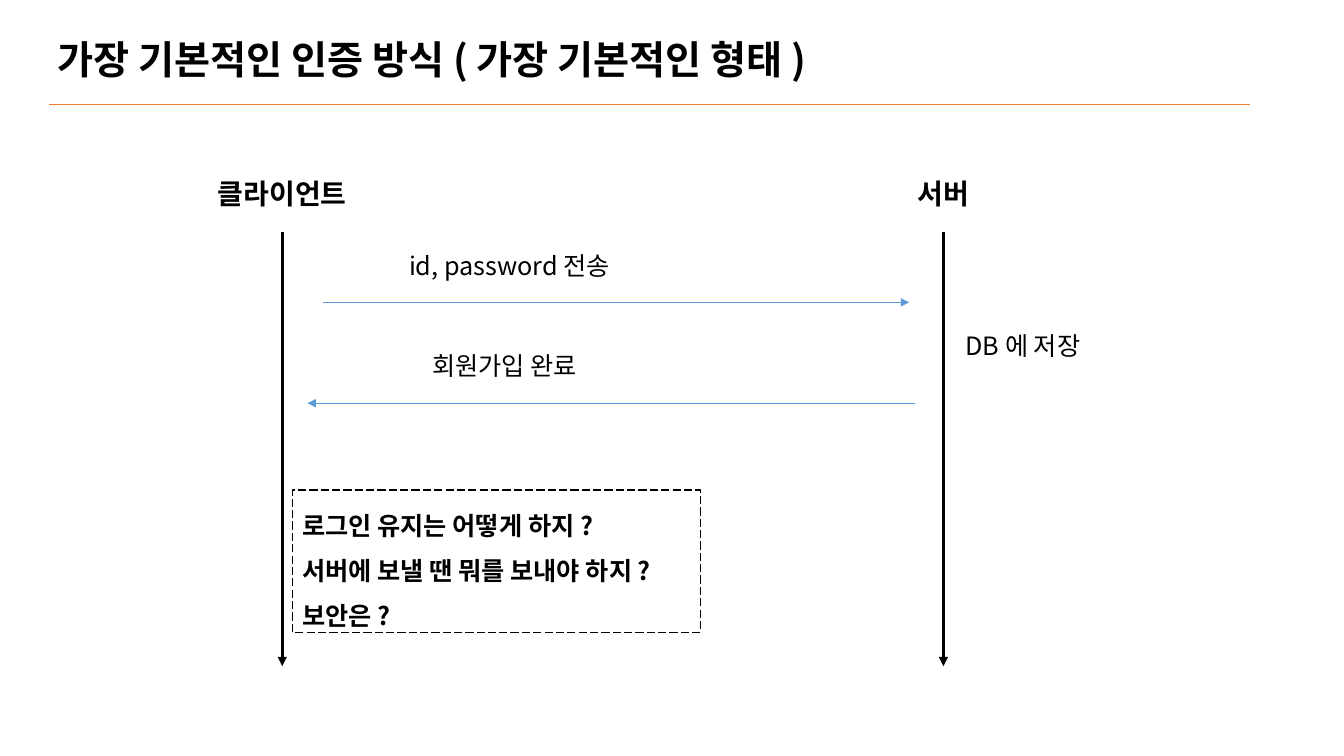
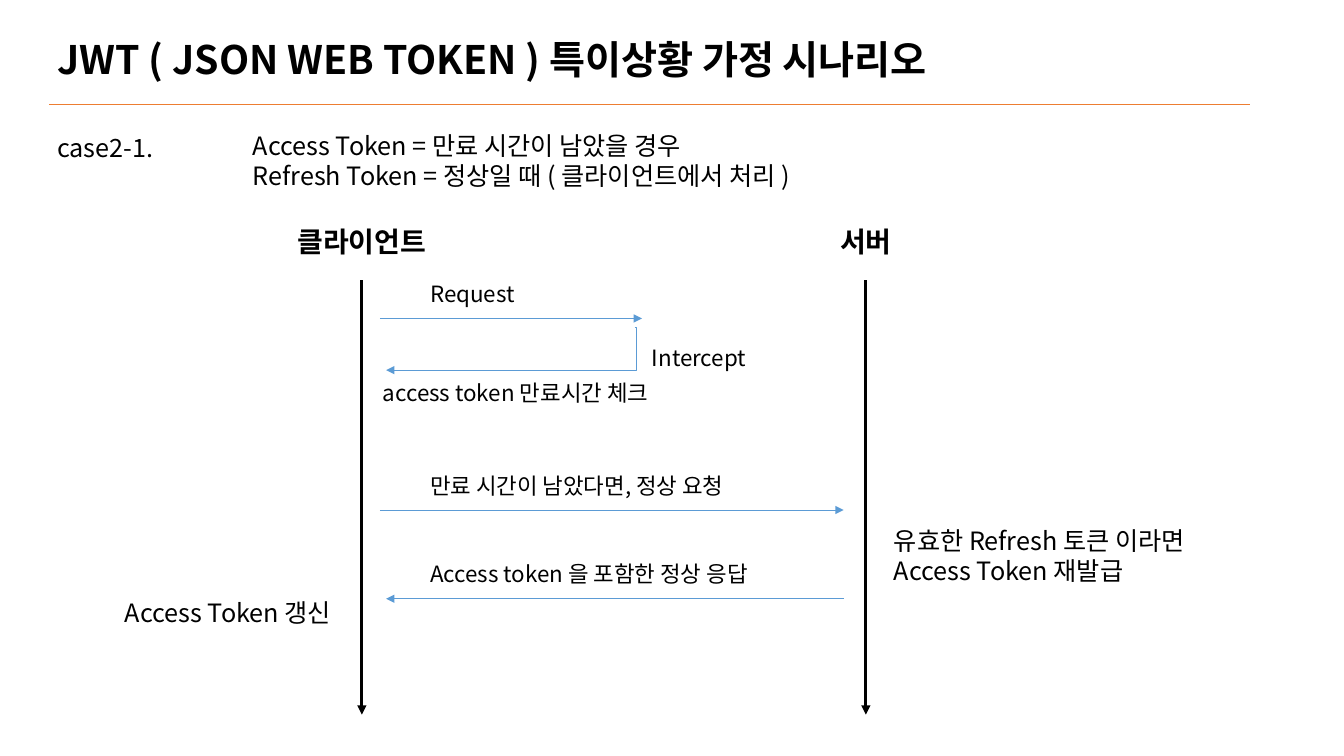
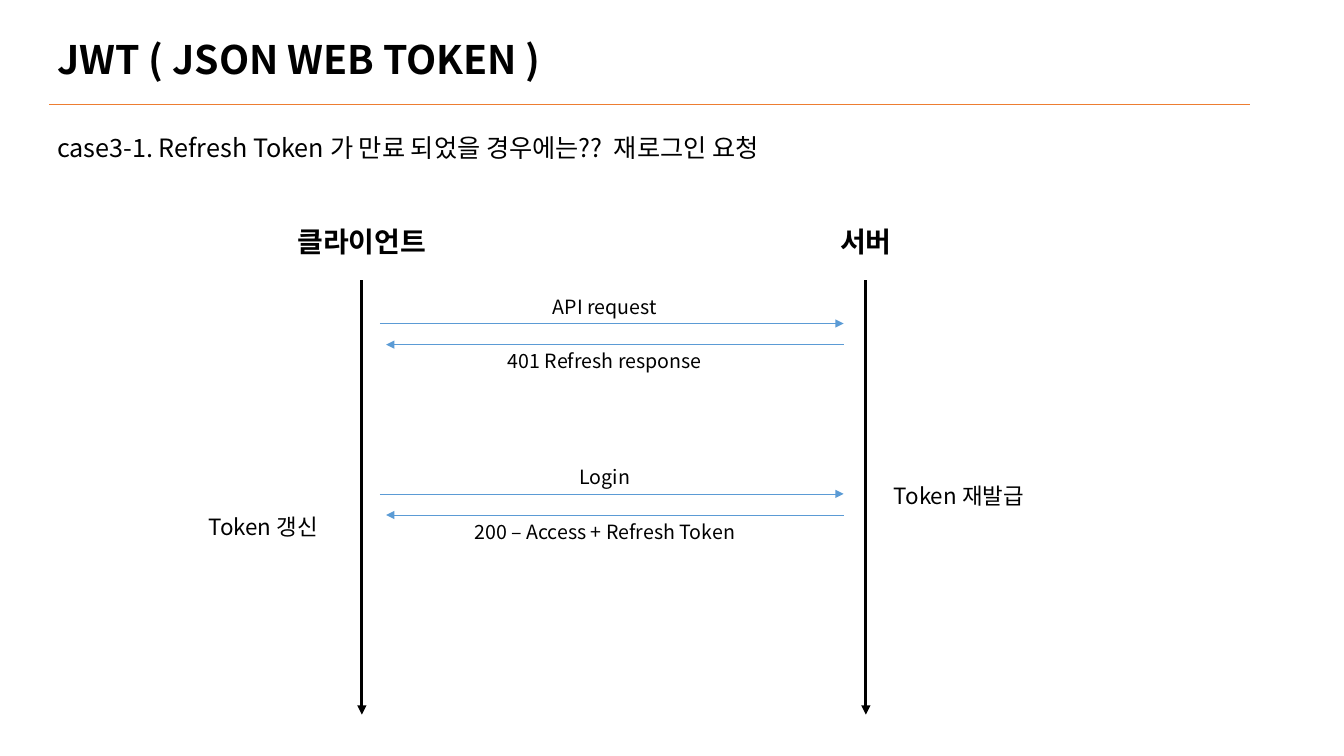
"""Build three slides that chart client and server login flows."""
from lxml.etree import SubElement
from pptx import Presentation
from pptx.dml.color import RGBColor
from pptx.enum.dml import MSO_LINE
from pptx.enum.shapes import MSO_CONNECTOR, MSO_SHAPE
from pptx.enum.text import MSO_ANCHOR, MSO_AUTO_SIZE, PP_ALIGN
from pptx.oxml.ns import qn
from pptx.util import Pt

FONT = "Noto Sans CJK KR"
BLACK, BLUE, ORANGE = "000000", "5B9BD5", "ED7D31"
LEFT, MID = PP_ALIGN.LEFT, PP_ALIGN.CENTER


def write(shape, text, size, bold=False, align=LEFT, space=1):
    frame = shape.text_frame
    frame.word_wrap = True
    frame.auto_size = MSO_AUTO_SIZE.NONE
    frame.vertical_anchor = MSO_ANCHOR.TOP
    frame.text = text
    for para in frame.paragraphs:
        para.alignment = align
        para.line_spacing = space
        for run in para.runs:
            run.font.size = Pt(size)
            run.font.bold = bold
            run.font.name = FONT
            run.font.color.rgb = RGBColor.from_string(BLACK)
            SubElement(run.font._element, qn("a:ea"), typeface=FONT)


def link(page, start, end, color=BLUE, width=0.5, head=True, kind=MSO_CONNECTOR.STRAIGHT):
    line = page.shapes.add_connector(kind, *(Pt(n) for n in start + end))
    line.line.color.rgb = RGBColor.from_string(color)
    line.line.width = Pt(width)
    if head:
        SubElement(line.get_or_add_ln(), qn("a:tailEnd"), type="triangle")
    SubElement(line._element.spPr, qn("a:effectLst"))
    return line


deck = Presentation()
deck.slide_width, deck.slide_height = Pt(960), Pt(540)

plans = [
    ("가장 기본적인 인증 방식 ( 가장 기본적인 형태 )", 201.6, 673.9, 165.6),
    ("JWT ( JSON WEB TOKEN ) 특이상황 가정 시나리오", 258.5, 618.5, 200.2),
    ("JWT ( JSON WEB TOKEN )", 258.5, 618.5, 200.2),
]
pages = []
for name, client, server, top in plans:
    page = deck.slides.add_slide(deck.slide_layouts[5])
    title = page.shapes.title
    title.left, title.top, title.width, title.height = Pt(33.8), Pt(21.6), Pt(686), Pt(41)
    write(title, name, 28, True)
    link(page, (35.3, 74.9), (892.8, 74.9), ORANGE, head=False)
    for x, role in ((client, "클라이언트"), (server, "서버")):
        box = page.shapes.add_textbox(Pt(x - 84.2), Pt(top - 43.2), Pt(168.4), Pt(31.7))
        write(box, role, 20, True, MID)
        link(page, (x, top), (x, top + 310.3), BLACK, 2.25)
    pages.append(page)
signup, case, expired = pages

arrows = [
    (signup, 230.4, 649.4, 216),
    (signup, 653.8, 219.6, 288),
    (case, 271.4, 458.6, 227.5),
    (case, 271.4, 602.6, 364.3),
    (case, 602.6, 275.8, 427.7),
]
notes = [
    (signup, 285.1, 175, 200, 18, LEFT, "id, password 전송"),
    (signup, 301.7, 247, 176, 18, LEFT, "회원가입 완료"),
    (signup, 682.6, 232.6, 166, 18, LEFT, "DB 에 저장"),
    (case, 33.8, 90.7, 130, 18, LEFT, "case2-1."),
    (case, 173.5, 89.3, 666, 18, LEFT,
     "Access Token = 만료 시간이 남았을 경우\nRefresh Token = 정상일 때 ( 클라이언트에서 처리 )"),
    (case, 300.2, 196.6, 234, 16, LEFT, "Request"),
    (case, 458.6, 241.9, 234, 16, LEFT, "Intercept"),
    (case, 266.4, 267.1, 240, 16, LEFT, "access token 만료시간 체크"),
    (case, 300.2, 333.4, 261, 16, LEFT, "만료 시간이 남았다면, 정상 요청"),
    (case, 300.2, 396.7, 266, 16, LEFT, "Access token 을 포함한 정상 응답"),
    (case, 631.4, 371.5, 295, 18, LEFT, "유효한 Refresh 토큰 이라면\nAccess Token 재발급"),
    (case, 82.1, 423.4, 295, 18, LEFT, "Access Token 갱신"),
    (expired, 33.8, 90.7, 715, 18, LEFT,
     "case3-1. Refresh Token 가 만료 되었을 경우에는??  재로그인 요청"),
    (expired, 631.4, 340.6, 295, 16, LEFT, "Token 재발급"),
    (expired, 141.8, 362.9, 295, 16, LEFT, "Token 갱신"),
]
for y, ask, reply in (
    (231.1, "API request", "401 Refresh response"),
    (352.8, "Login", "200 – Access + Refresh Token"),
):
    arrows += [(expired, 271.4, 602.6, y), (expired, 602.6, 275.8, y + 15.1)]
    notes += [
        (expired, 277.2, y - 24, 309.6, 14, MID, ask),
        (expired, 277.2, y + 14.8, 309.6, 14, MID, reply),
    ]

for page, x, end, y in arrows:
    link(page, (x, y), (end, y))
for page, x, y, width, size, align, text in notes:
    tall = 7.2 + 1.2 * size * (text.count("\n") + 1)
    box = page.shapes.add_textbox(Pt(x), Pt(y), Pt(width), Pt(tall))
    write(box, text, size, align=align)

bend = link(case, (453.6, 234), (275.8, 264.4), kind=MSO_CONNECTOR.ELBOW)
guides = bend._element.spPr.find(qn("a:prstGeom")).get_or_add_avLst()
SubElement(guides, qn("a:gd"), name="adj1", fmla="val -500")

asks = signup.shapes.add_shape(MSO_SHAPE.RECTANGLE, Pt(208.8), Pt(350), Pt(291.6), Pt(101.5))
asks.shadow.inherit = False
asks.fill.background()
asks.line.color.rgb = RGBColor.from_string(BLACK)
asks.line.width = Pt(0.75)
asks.line.dash_style = MSO_LINE.LONG_DASH
write(asks, "로그인 유지는 어떻게 하지 ?\n서버에 보낼 땐 뭐를 보내야 하지 ?\n보안은 ?", 18, True, space=1.5)

deck.save("out.pptx")
